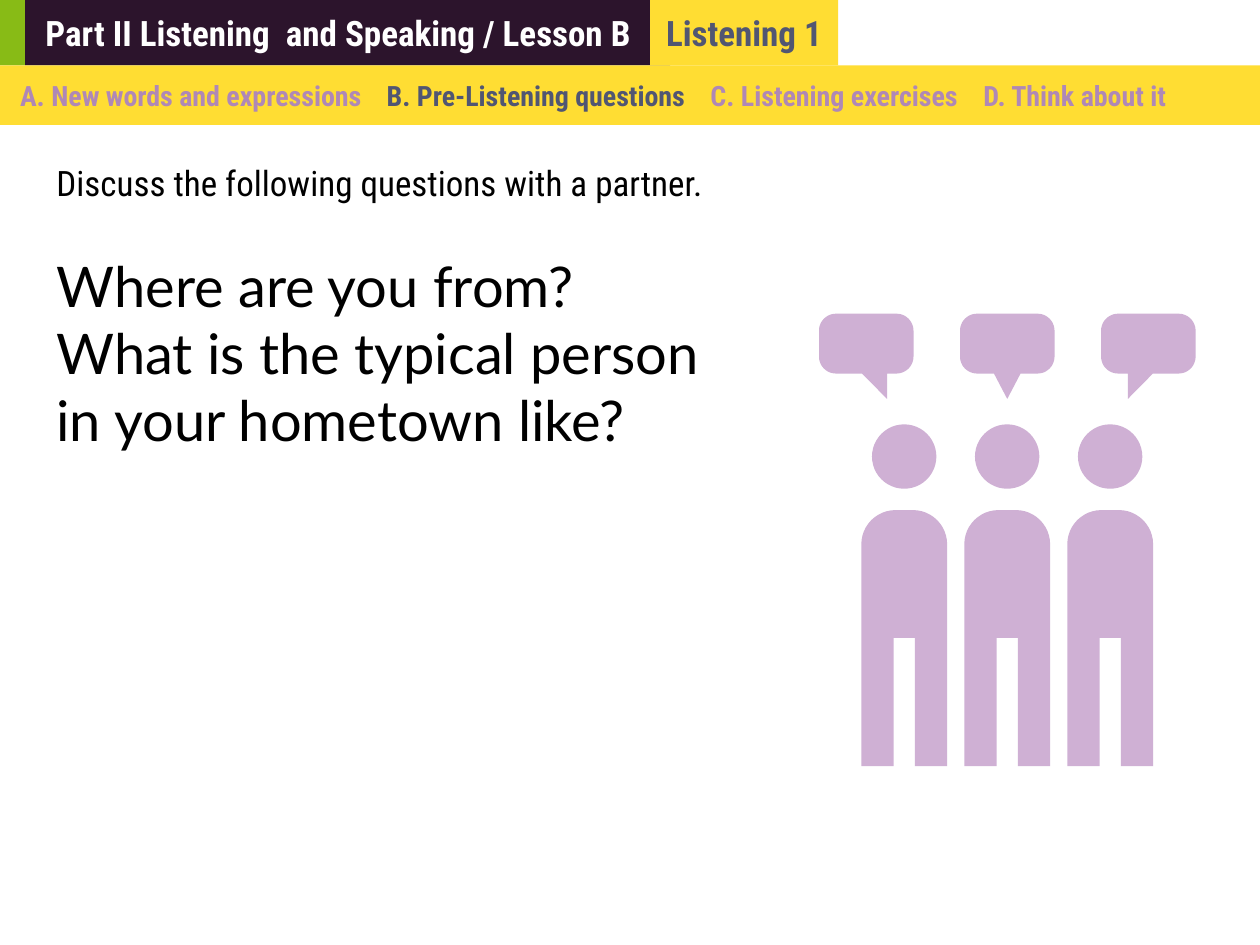
from math import cos, radians, sin

from pptx import Presentation
from pptx.dml.color import RGBColor
from pptx.enum.shapes import MSO_SHAPE
from pptx.enum.text import MSO_ANCHOR, PP_ALIGN
from pptx.oxml.ns import qn
from pptx.util import Pt
from lxml import etree

COLORS = {
    "green": "88BB16", "plum": "2C142C", "yellow": "FFDD33", "slate": "515672",
    "mauve": "AF88B6", "lilac": "CFB0D4", "white": "FFFFFF", "black": "000000",
}


def put_text(s, runs, size=20, font="Roboto Condensed", bold=False, left=7.2,
             anchor=MSO_ANCHOR.MIDDLE, align=PP_ALIGN.LEFT, tabs=()):
    """Write (text, colour) runs as one paragraph in shape s."""
    tf = s.text_frame
    tf.word_wrap = True
    tf.vertical_anchor = anchor
    tf.margin_left, tf.margin_right = Pt(left), Pt(7.2)
    tf.margin_top = tf.margin_bottom = Pt(3.6)
    p = tf.paragraphs[0]
    p.alignment = align
    if tabs:
        tab_list = etree.SubElement(p._p.get_or_add_pPr(), qn("a:tabLst"))
        for pos in tabs:
            etree.SubElement(tab_list, qn("a:tab"), pos=str(Pt(pos)), algn="l")
    for text, color in runs:
        r = p.add_run()
        r.text = text
        r.font.size, r.font.name, r.font.bold = Pt(size), font, bold
        r.font.color.rgb = RGBColor.from_string(COLORS[color])


def arc(cx, cy, radius, start):
    """Points of a clockwise quarter circle, from the start angle."""
    angles = [radians(start + step * 7.5) for step in range(13)]
    return [(cx + radius * cos(a), cy + radius * sin(a)) for a in angles]


prs = Presentation()
prs.slide_width, prs.slide_height = Pt(720), Pt(540)
slide = prs.slides.add_slide(prs.slide_layouts[6])

# Header bars: left, top, width, height, fill, runs, text format
bars = [
    (0, 0, 14.4, 37.4, "green", [], {}),
    (14.4, 0, 368.6, 37.4, "plum",
     [("Part II Listening  and Speaking / Lesson B", "white")], {"left": 11.5}),
    (0, 37.4, 720, 34, "yellow",
     [("A. New words and expressions\t", "mauve"),
      ("B. Pre-Listening questions\t", "slate"),
      ("C. Listening exercises\tD. Think about it", "mauve")],
     {"left": 11.5, "size": 16, "tabs": (209.5, 394.5, 550.5)}),
    (371.5, 0, 107.5, 37.4, "yellow", [("Listening 1", "slate")],
     {"align": PP_ALIGN.CENTER}),
]
for x, y, w, h, fill, runs, fmt in bars:
    s = slide.shapes.add_shape(MSO_SHAPE.RECTANGLE, Pt(x), Pt(y), Pt(w), Pt(h))
    s.shadow.inherit = False
    s.fill.solid()
    s.fill.fore_color.rgb = RGBColor.from_string(COLORS[fill])
    s.line.fill.background()
    if runs:
        put_text(s, runs, bold=True, **fmt)

# Instruction and questions
s = slide.shapes.add_textbox(Pt(25.2), Pt(88.9), Pt(532.8), Pt(45.4))
put_text(s, [("Discuss the following questions with a partner.", "black")],
         anchor=MSO_ANCHOR.TOP)
s = slide.shapes.add_textbox(Pt(25.2), Pt(140), Pt(385.2), Pt(311.8))
put_text(s, [("Where are you from? What is the typical person in your hometown like?",
              "black")], size=32, font="Lato", anchor=MSO_ANCHOR.TOP)

# Three people talking: heads, bodies and speech bubbles
people = slide.shapes.add_group_shape()
parts = []
outlines = []
shoulder, crotch, feet, body_w, leg_w = 291.5, 364.5, 437.8, 49, 18.4
bubble_top, bubble_h, bubble_w, corner = 179.3, 34.2, 54, 9.7
tails = [(24.6, 38.9, 38.9), (19.4, 34.6, 27), (15.3, 29.6, 15.3)]
for i, (tail_left, tail_right, tip) in enumerate(tails):
    x = 492.2 + 58.85 * i
    parts.append(people.shapes.add_shape(
        MSO_SHAPE.OVAL, Pt(x + 6.1), Pt(242.5), Pt(36.8), Pt(36.8)))
    right, r = x + body_w, 19.5
    outlines.append(
        arc(x + r, shoulder + r, r, 180) + arc(right - r, shoulder + r, r, 270)
        + [(right, feet), (right - leg_w, feet), (right - leg_w, crotch),
           (x + leg_w, crotch), (x + leg_w, feet), (x, feet)])

    x = 468 + 80.6 * i
    right, bottom = x + bubble_w, bubble_top + bubble_h
    outlines.append(
        arc(x + corner, bubble_top + corner, corner, 180)
        + arc(right - corner, bubble_top + corner, corner, 270)
        + arc(right - corner, bottom - corner, corner, 0)
        + [(x + tail_right, bottom), (x + tip, 228), (x + tail_left, bottom)]
        + arc(x + corner, bottom - corner, corner, 90))

for points in outlines:
    units = [(round(px * 100), round(py * 100)) for px, py in points]
    builder = people.shapes.build_freeform(*units[0], scale=Pt(1) / 100)
    builder.add_line_segments(units[1:], close=True)
    parts.append(builder.convert_to_shape())

for s in parts:
    s.shadow.inherit = False
    s.fill.solid()
    s.fill.fore_color.rgb = RGBColor.from_string(COLORS["lilac"])
    s.line.fill.background()

prs.save("out.pptx")
